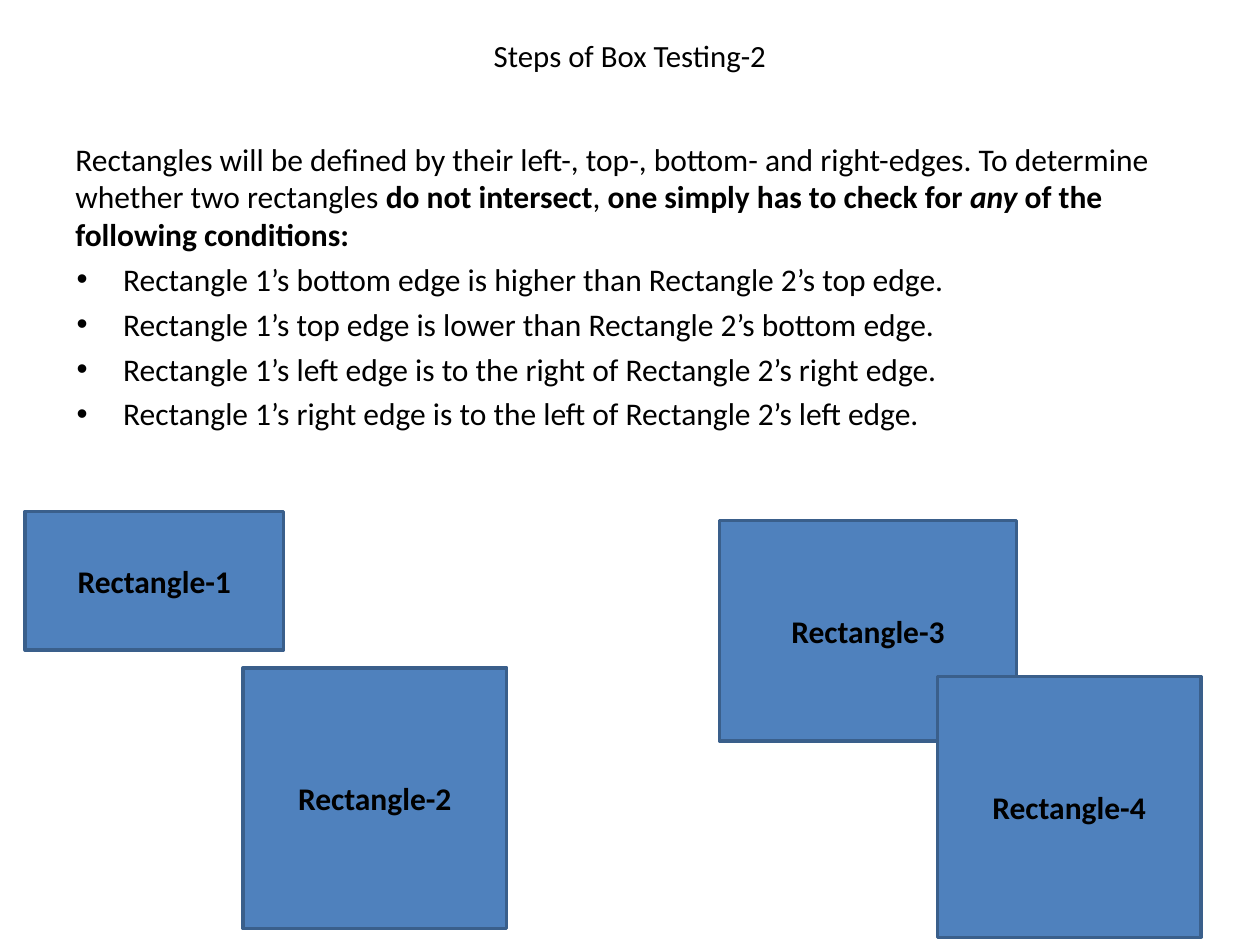
"""Build the slide on testing whether two rectangles intersect."""
from dataclasses import dataclass

from lxml import etree
from pptx import Presentation
from pptx.dml.color import RGBColor
from pptx.enum import shapes, text
from pptx.oxml import ns
from pptx.util import Inches, Pt

BASE = {"name": "Calibri", "size": Pt(18), "bold": False, "italic": False}
BOLD = {"bold": True}


@dataclass(frozen=True)
class Box:
    left: float
    top: float
    width: float
    height: float
    label: str = ""

    def bounds(self) -> tuple:
        return tuple(map(Inches, (self.left, self.top, self.width, self.height)))


TITLE = Box(0.5, 0.3, 9, 0.61)
BODY = Box(0.5, 1.06, 9, 3.07)
PAIRS = (
    (Box(0.2, 4.06, 2.05, 1.1, "Rectangle-1"), Box(1.93, 5.3, 2.09, 2.07, "Rectangle-2")),
    (Box(5.71, 4.13, 2.36, 1.75, "Rectangle-3"), Box(7.44, 5.37, 2.09, 2.07, "Rectangle-4")),
)
INTRO = (
    ("Rectangles will be defined by their left-, top-, bottom- and right-edges. "
     "To determine whether two rectangles ", {}),
    ("do not intersect", BOLD),
    (", ", {}),
    ("one simply has to check for ", BOLD),
    ("any", {"bold": True, "italic": True}),
    (" of the following conditions:", BOLD),
)
CONDITIONS = (
    "Rectangle 1’s bottom edge is higher than Rectangle 2’s top edge.",
    "Rectangle 1’s top edge is lower than Rectangle 2’s bottom edge.",
    "Rectangle 1’s left edge is to the right of Rectangle 2’s right edge.",
    "Rectangle 1’s right edge is to the left of Rectangle 2’s left edge.",
)


def color(value: str) -> RGBColor:
    return RGBColor.from_string(value)


def write(paragraph, words: str, **changes) -> None:
    font_format = {**BASE, **changes}
    run = paragraph.add_run()
    run.text = words
    for attribute, value in font_format.items():
        setattr(run.font, attribute, value)
    run.font.color.rgb = color("000000")


def add_bullet(paragraph) -> None:
    properties = paragraph._p.get_or_add_pPr()
    properties.set("marL", str(Inches(0.38)))
    properties.set("indent", str(Inches(-0.37)))
    etree.SubElement(properties, ns.qn("a:buFont"), typeface="Arial")
    etree.SubElement(properties, ns.qn("a:buChar"), char="•")


def add_title(slide) -> None:
    frame = slide.shapes.add_textbox(*TITLE.bounds()).text_frame
    frame.word_wrap = True
    heading = frame.paragraphs[0]
    heading.alignment = text.PP_ALIGN.CENTER
    heading.line_spacing = 0.8
    write(heading, "Steps of Box Testing-2", size=Pt(17.6))


def add_body(slide) -> None:
    frame = slide.shapes.add_textbox(*BODY.bounds()).text_frame
    frame.word_wrap = True
    for words, changes in INTRO:
        write(frame.paragraphs[0], words, **changes)
    for condition in CONDITIONS:
        item = frame.add_paragraph()
        item.space_before = Pt(4)
        add_bullet(item)
        write(item, condition)


def add_rectangle(group, box: Box) -> None:
    rectangle = group.shapes.add_shape(shapes.MSO_SHAPE.RECTANGLE, *box.bounds())
    rectangle.shadow.inherit = False
    rectangle.fill.solid()
    rectangle.fill.fore_color.rgb = color("4F81BD")
    rectangle.line.color.rgb = color("3A5F8B")
    rectangle.line.width = Pt(2)
    frame = rectangle.text_frame
    frame.vertical_anchor = text.MSO_ANCHOR.MIDDLE
    frame.paragraphs[0].alignment = text.PP_ALIGN.CENTER
    write(frame.paragraphs[0], box.label, **BOLD)


def main() -> None:
    deck = Presentation()
    deck.slide_width, deck.slide_height = Inches(10), Inches(7.5)
    slide = deck.slides.add_slide(deck.slide_layouts[6])
    add_title(slide)
    add_body(slide)
    for pair in PAIRS:
        group = slide.shapes.add_group_shape()
        for box in pair:
            add_rectangle(group, box)
    deck.save("out.pptx")


if __name__ == "__main__":
    main()
